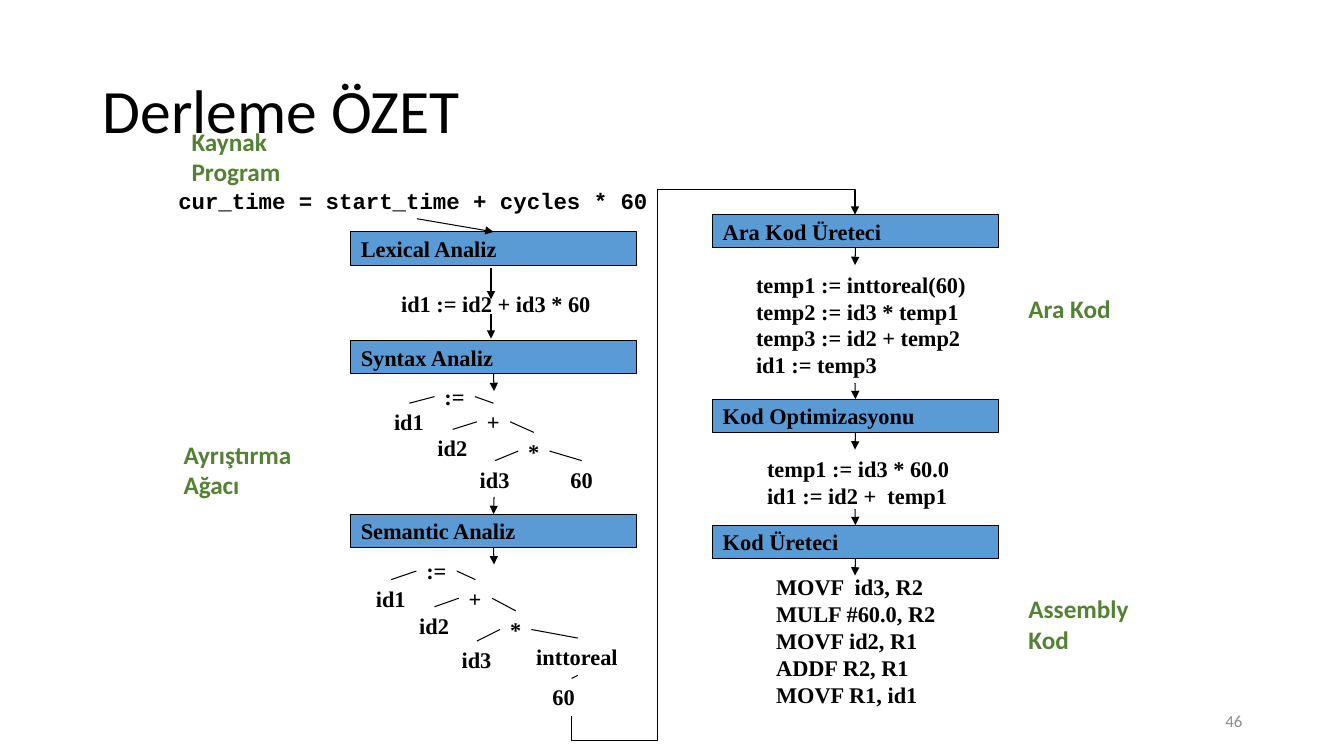
import dataclasses
import lxml.etree
import pptx
import pptx.util
import pptx.dml.color
import pptx.enum.shapes
import pptx.enum.text
import pptx.oxml.ns

PX = 9144  # 100 px to the inch
TOP, LEFT, BOTTOM, RIGHT = range(4)
BAR_W, BAR_H, LINE_H = 283, 33, 37


@dataclasses.dataclass(frozen=True)
class Theme:
    ink: str = "000000"
    bar: str = "5B9BD5"
    note: str = "548235"
    gray: str = "8C8C8C"
    sans: str = "Calibri"
    serif: str = "Times New Roman"
    mono: str = "Courier New"
    title: int = 44
    label: int = 18
    body: int = 16
    page: int = 12


THEME = Theme()


def px(*sizes):
    return [pptx.util.Emu(size * PX) for size in sizes]


def rgb(code):
    return pptx.dml.color.RGBColor.from_string(code)


def write(shape, lines, font, size, color=THEME.ink, bold=True, wrap=False):
    frame = shape.text_frame
    frame.word_wrap = wrap
    frame.vertical_anchor = pptx.enum.text.MSO_ANCHOR.MIDDLE
    frame.text = "\n".join(lines)
    for para in frame.paragraphs:
        para.alignment = pptx.enum.text.PP_ALIGN.LEFT
        para.font.name = font
        para.font.size = pptx.util.Pt(size)
        para.font.bold = bold
        para.font.color.rgb = rgb(color)
    return frame


def code(shapes, x, y, w, lines, h=LINE_H, font=THEME.serif):
    box = shapes.add_textbox(*px(x, y, w, h))
    frame = write(box, lines, font, THEME.body)
    frame.auto_size = pptx.enum.text.MSO_AUTO_SIZE.SHAPE_TO_FIT_TEXT
    return box


def stage(shapes, x, y, name):
    bar = shapes.add_shape(pptx.enum.shapes.MSO_SHAPE.RECTANGLE,
                           *px(x, y, BAR_W, BAR_H))
    bar.shadow.inherit = False
    bar.fill.solid()
    bar.fill.fore_color.rgb = rgb(THEME.bar)
    stroke(bar)
    write(bar, [name], THEME.serif, THEME.body)
    return bar


def stroke(shape, arrow=False):
    shape.line.color.rgb = rgb(THEME.ink)
    shape.line.width = pptx.util.Pt(0.75)
    if arrow:
        edge = shape._element.spPr.find(pptx.oxml.ns.qn("a:ln"))
        lxml.etree.SubElement(edge, pptx.oxml.ns.qn("a:tailEnd"),
                              type="triangle")


def link(shapes, start, end, arrow=True):
    """Each end is a point in px, or a shape with the side to join."""
    ends = [(p[0].left, p[0].top) if hasattr(p[0], "left") else px(*p)
            for p in (start, end)]
    line = shapes.add_connector(pptx.enum.shapes.MSO_CONNECTOR.STRAIGHT,
                                *ends[0], *ends[1])
    stroke(line, arrow)
    lxml.etree.SubElement(line._element.spPr, pptx.oxml.ns.qn("a:effectLst"))
    if hasattr(start[0], "left"):
        line.begin_connect(*start)
    if hasattr(end[0], "left"):
        line.end_connect(*end)


def tree(shapes, x, y, rows, tail):
    """Parse tree; tail holds the right-hand chain as (text, dx, dy, w)."""
    group = shapes.add_group_shape().shapes
    plus, low, star, leaf = rows
    parts = [(":=", 50, 0, 40), ("id1", 0, plus, 50), ("+", 92, plus, 33),
             ("id2", 43, low, 50), ("*", 133, star, 31),
             ("id3", 85, leaf, 50), *tail]
    nodes = [code(group, x + dx, y + dy, w, [text])
             for text, dx, dy, w in parts]
    # Every operator branches to the next two nodes
    for top in (0, 2, 4):
        for side, child in ((LEFT, top + 1), (RIGHT, top + 2)):
            link(group, (nodes[top], side), (nodes[child], TOP), False)
    for upper, lower in zip(nodes[6:], nodes[7:]):
        link(group, (upper, BOTTOM), (lower, TOP), False)


def header(shapes, x, y, w, h):
    box = shapes.add_textbox(*px(x, y, w, h))
    frame = write(box, ["Derleme ÖZET"], THEME.sans, THEME.title,
                  bold=False, wrap=True)
    frame.paragraphs[0].line_spacing = 0.9


def footer(shapes, x, y, w, h):
    box = shapes.add_textbox(*px(x, y, w, h))
    frame = write(box, ["46"], THEME.sans, THEME.page, THEME.gray,
                  bold=False, wrap=True)
    frame.paragraphs[0].alignment = pptx.enum.text.PP_ALIGN.RIGHT


def front(shapes, x, y, w, h):
    """Analysis stages, from the source line to the typed tree."""
    left, mid = x + 181, x + 323
    lex, syn, sem = [
        stage(shapes, left, y + dy, name)
        for dy, name in ((50, "Lexical Analiz"), (158, "Syntax Analiz"),
                         (330, "Semantic Analiz"))]
    source = code(shapes, x, y, w, ["cur_time = start_time + cycles * 60"],
                  font=THEME.mono)
    code(shapes, x + 221, y + 103, 211, ["id1 := id2 + id3 * 60"])

    # Trees
    tree(shapes, x + 214, y + 195, (25, 51, 54, 82), [("60", 175, 82, 42)])
    tree(shapes, x + 196, y + 368, (27, 54, 58, 88),
         [("inttoreal", 159, 85, 102), ("60", 175, 125, 58)])

    # Flow
    link(shapes, (source, BOTTOM), (lex, TOP))
    link(shapes, (x + 320, y + 86), (x + 320, y + 117))
    link(shapes, (x + 320, y + 132), (x + 320, y + 156))
    link(shapes, (syn, BOTTOM), (mid, y + 208))
    link(shapes, (mid, y + 313), (sem, TOP))
    link(shapes, (sem, BOTTOM), (mid, y + 380))


def back(shapes, x, y, w, h):
    """Synthesis stages, from intermediate code to assembly."""
    mid = x + w // 2
    make, tune, emit = [
        stage(shapes, x, y + dy, name)
        for dy, name in ((0, "Ara Kod Üreteci"), (183, "Kod Optimizasyonu"),
                         (308, "Kod Üreteci"))]
    code(shapes, x + 33, y + 50, 231,
         ["temp1 := inttoreal(60)", "temp2 := id3 * temp1",
          "temp3 := id2 + temp2", "id1 := temp3"], 118)
    code(shapes, x + 44, y + 233, 203,
         ["temp1 := id3 * 60.0", "id1 := id2 +  temp1"], 64)
    code(shapes, x + 53, y + 350, 180,
         ["MOVF  id3, R2", "MULF #60.0, R2", "MOVF id2, R1",
          "ADDF R2, R1", "MOVF R1, id1"], 145)

    # Flow
    for bar, dy in ((make, 50), (tune, 233), (emit, 358)):
        link(shapes, (bar, BOTTOM), (mid, y + dy))
    for bar, dy in ((tune, 167), (emit, 292)):
        link(shapes, (mid, y + dy), (bar, TOP))


def bridge(shapes, x, y, w, h):
    """Bent arrow from the last tree up to the next column."""
    turn = x + 85
    route = [(x, y + h), (turn, y + h), (turn, y), (x + w, y),
             (x + w, y + 25)]
    pen = shapes.build_freeform(*px(x, y + h - 25))
    pen.add_line_segments([px(*point) for point in route], close=False)
    path = pen.convert_to_shape()
    path.shadow.inherit = False
    path.fill.background()
    stroke(path, True)


def label(shapes, x, y, w, h, text):
    box = shapes.add_textbox(*px(x, y, w, h))
    frame = write(box, [text], THEME.sans, THEME.label, THEME.note, wrap=True)
    frame.vertical_anchor = pptx.enum.text.MSO_ANCHOR.TOP
    frame.margin_left = frame.margin_right = 0
    frame.margin_top = frame.margin_bottom = 0


def main():
    deck = pptx.Presentation()
    deck.slide_width, deck.slide_height = px(1333, 750)
    shapes = deck.slides.add_slide(deck.slide_layouts[6]).shapes
    header(shapes, 92, 40, 1150, 145)
    footer(shapes, 942, 695, 300, 40)
    front(shapes, 167, 180, 493, 530)
    back(shapes, 707, 213, BAR_W, 495)
    bridge(shapes, 567, 188, 281, 547)
    for x, y, w, h, text in ((190, 125, 100, 91, "Kaynak Program"),
                             (182, 436, 109, 61, "Ayrıştırma Ağacı"),
                             (1020, 291, 125, 30, "Ara Kod"),
                             (1020, 589, 125, 61, "Assembly Kod")):
        label(shapes, x, y, w, h, text)
    deck.save("out.pptx")


if __name__ == "__main__":
    main()
